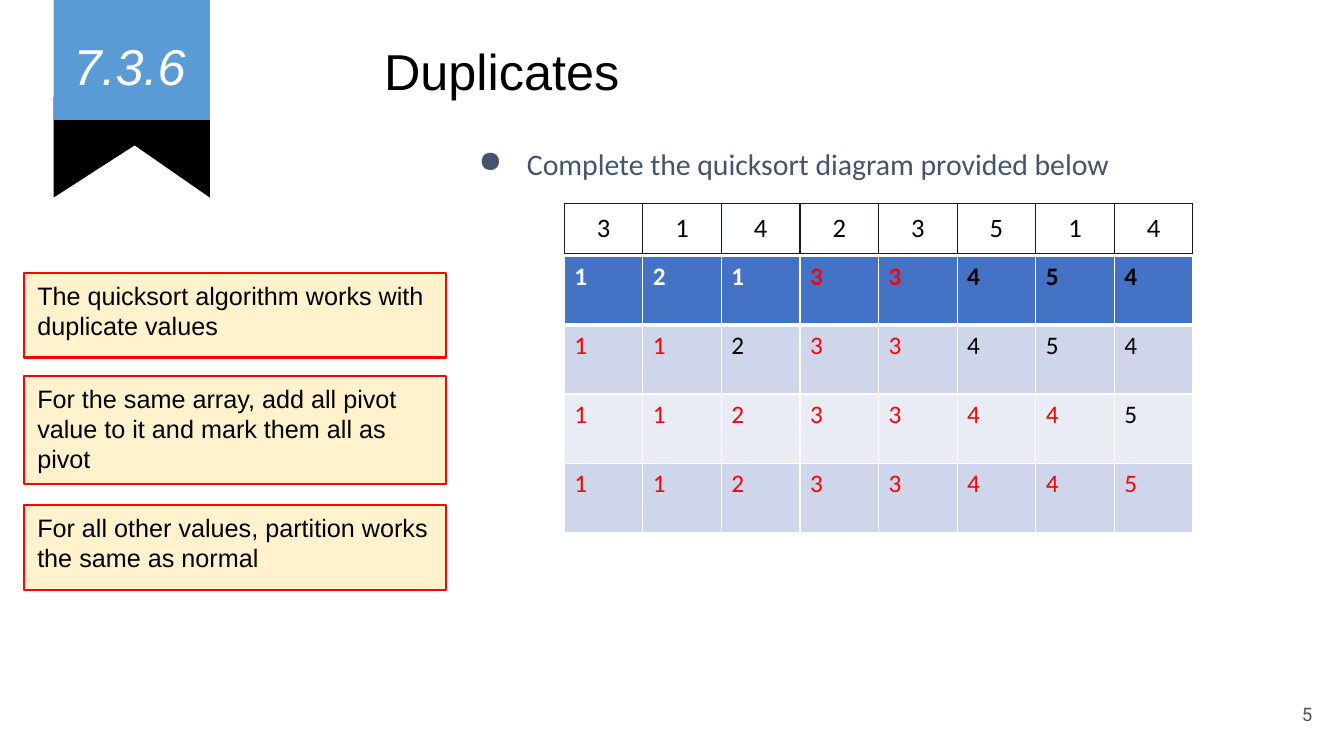
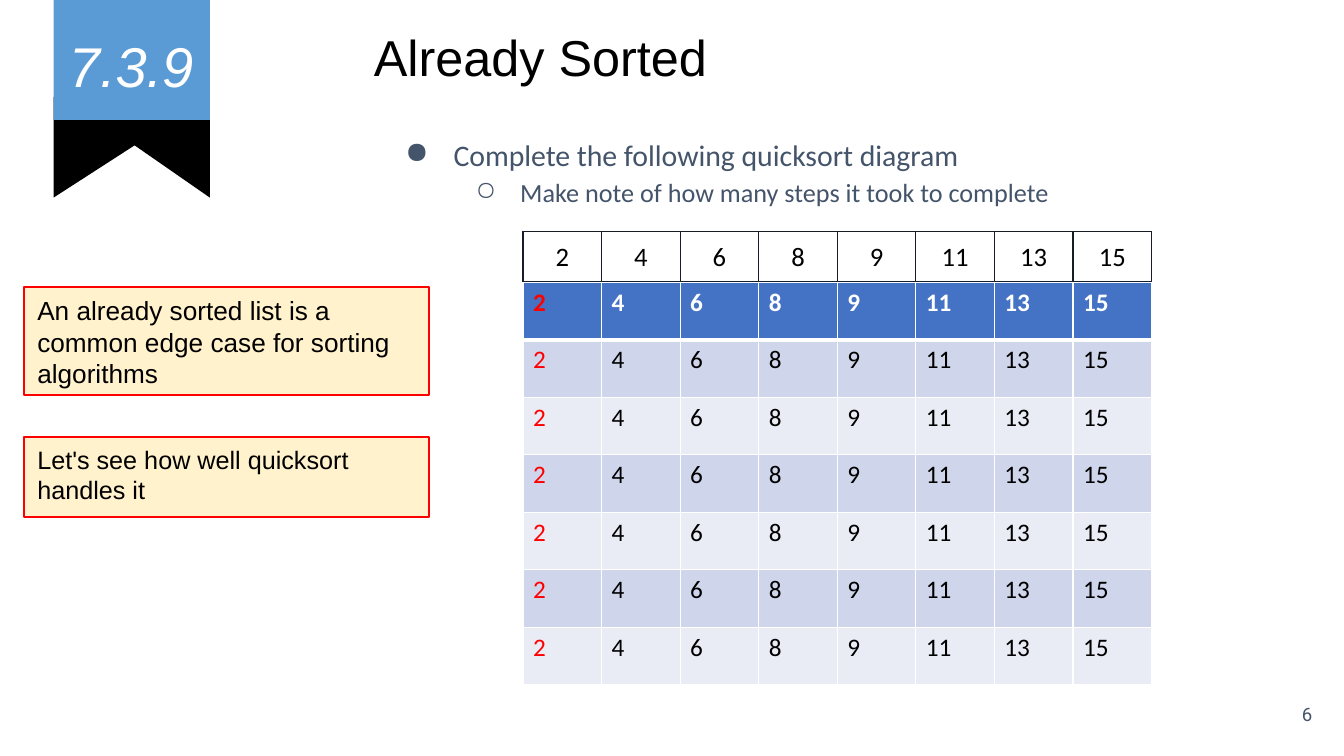
from lxml.etree import SubElement
from pptx import Presentation
from pptx.dml.color import RGBColor
from pptx.enum.shapes import MSO_SHAPE
from pptx.enum.text import MSO_ANCHOR, PP_ALIGN
from pptx.oxml.ns import qn
from pptx.util import Cm, Pt


def color(hex_string):
    return RGBColor.from_string(hex_string)


class Lesson:
    """Holds the lesson style and the slide being built."""

    BLACK, WHITE, RED = "000000", "FFFFFF", "FF0000"
    RIBBON, SLATE, CREAM = "5B9BD5", "44546A", "FFF2CC"
    GRID, HEADER, BANDS = "181C26", "4472C4", ("CFD5EA", "E9EBF5")
    INK = {"w": WHITE, "r": RED, "k": BLACK}
    HEAD_FONT, BODY_FONT, NUMBER_FONT = "Arial", "Calibri", "Roboto"
    COLUMN = 1.98
    # Marker, text size, left margin and hanging indent of each bullet level
    LEVELS = (("●", 21.3, 1.7, 1.22), ("○", 18.7, 3.38, 1.12))

    def __init__(self):
        self.deck = Presentation()
        self.deck.slide_width, self.deck.slide_height = Cm(33.87), Cm(19.05)
        self.slide = None

    def start(self):
        self.slide = self.deck.slides.add_slide(self.deck.slide_layouts[6])
        self.ribbon()

    # Text helpers
    def style(self, para, font, size, ink, align=PP_ALIGN.LEFT, bold=False, italic=False):
        para.alignment = align
        for span in para.runs:
            span.font.name, span.font.size = font, Pt(size)
            span.font.bold, span.font.italic = bold, italic
            span.font.color.rgb = color(ink)

    def margins(self, target, across, down):
        target.margin_left = target.margin_right = Cm(across)
        target.margin_top = target.margin_bottom = Cm(down)

    def text_box(self, text, left, top, width, height, anchor=MSO_ANCHOR.TOP):
        box = self.slide.shapes.add_textbox(Cm(left), Cm(top), Cm(width), Cm(height))
        frame = box.text_frame
        frame.word_wrap, frame.vertical_anchor = True, anchor
        self.margins(frame, 0.33, 0.33)
        frame.text = text
        return frame.paragraphs

    # Shapes
    def shape(self, kind, left, top, width, height, fill, line=None):
        shape = self.slide.shapes.add_shape(kind, Cm(left), Cm(top), Cm(width), Cm(height))
        shape.shadow.inherit = False
        shape.fill.solid()
        shape.fill.fore_color.rgb = color(fill)
        if line:
            shape.line.color.rgb = color(line)
            shape.line.width = Pt(1.5)
        else:
            shape.line.fill.background()
        return shape

    def ribbon(self):
        for left, width, flipped in ((1.35, 3.94, True), (1.63, 3.66, False)):
            tail = self.shape(MSO_SHAPE.RIGHT_TRIANGLE, left, 2.44, width, 2.54, self.BLACK)
            tail.rotation = 180
            if flipped:
                tail.element.spPr.find(qn("a:xfrm")).set("flipH", "1")
        self.shape(MSO_SHAPE.RECTANGLE, 1.35, 0, 3.94, 3.02, self.RIBBON)

    def title(self, text, left, top):
        para = self.text_box(text, left, top, 24.03, 3.15)[0]
        self.style(para, self.HEAD_FONT, 36, self.BLACK)

    def page_number(self, number):
        para = self.text_box(number, 31.37, 17.27, 2.03, 1.45, MSO_ANCHOR.MIDDLE)[0]
        self.style(para, self.NUMBER_FONT, 13.3, self.SLATE, PP_ALIGN.RIGHT)

    def section(self, text, left, width, size):
        para = self.text_box(text, left, 0.64, width, 2.01, MSO_ANCHOR.MIDDLE)[0]
        self.style(para, self.HEAD_FONT, size, self.WHITE, PP_ALIGN.CENTER, italic=True)

    def bullets(self, lines, left, top, height):
        paragraphs = self.text_box("\n".join(lines), left, top, 24.03, height)
        for level, para in enumerate(paragraphs):
            marker, size, margin, hanging = self.LEVELS[level]
            self.style(para, self.BODY_FONT, size, self.SLATE)
            para.level, para.line_spacing = level, 1.15
            properties = para._p.get_or_add_pPr()
            properties.set("marL", str(Cm(margin)))
            properties.set("indent", str(-Cm(hanging)))
            tint = SubElement(properties, qn("a:buClr"))
            SubElement(tint, qn("a:srgbClr")).set("val", self.SLATE)
            SubElement(properties, qn("a:buChar")).set("char", marker)

    def callout(self, text, top, width, height, size=18):
        box = self.shape(MSO_SHAPE.RECTANGLE, 0.61, top, width, height, self.CREAM, self.RED)
        frame = box.text_frame
        frame.word_wrap, frame.vertical_anchor = True, MSO_ANCHOR.TOP
        self.margins(frame, 0.33, 0.18)
        frame.text = text
        self.style(frame.paragraphs[0], self.HEAD_FONT, size, self.BLACK)

    # Tables
    def borders(self, cell, ink, bottom):
        properties = cell._tc.get_or_add_tcPr()
        for side, width in (("L", 1), ("R", 1), ("T", 1), ("B", bottom)):
            line = SubElement(properties, qn("a:ln" + side))
            line.set("w", str(Pt(width)))
            fill = SubElement(line, qn("a:solidFill"))
            SubElement(fill, qn("a:srgbClr")).set("val", ink)

    def grid(self, rows, left, top, row_height):
        """Add an empty-styled table and yield each row number, column and cell."""
        count = len(rows[0])
        table = self.slide.shapes.add_table(
            len(rows), count, Cm(left), Cm(top),
            Cm(self.COLUMN * count), Cm(row_height * len(rows))).table
        for column in table.columns:
            column.width = Cm(self.COLUMN)
        for r, values in enumerate(rows):
            table.rows[r].height = Cm(row_height)
            for c, value in enumerate(values):
                cell = table.cell(r, c)
                cell.text = value
                yield r, c, cell

    def array(self, values, left, top):
        for _, _, cell in self.grid([values.split()], left, top, 1.24):
            self.margins(cell, 0.46, 0.23)
            self.borders(cell, self.GRID, 1)
            cell.fill.background()
            self.style(cell.text_frame.paragraphs[0], self.BODY_FONT, 19, self.BLACK,
                       PP_ALIGN.CENTER)

    def steps(self, rows, left, top, row_height):
        """Each row pairs its values with one ink letter per value."""
        values = [numbers.split() for numbers, _ in rows]
        for r, c, cell in self.grid(values, left, top, row_height):
            header = r == 0
            self.borders(cell, self.WHITE, 3 if header else 1)
            cell.fill.solid()
            cell.fill.fore_color.rgb = color(self.HEADER if header else self.BANDS[(r - 1) % 2])
            self.style(cell.text_frame.paragraphs[0], self.BODY_FONT, 18,
                       self.INK[rows[r][1][c]], bold=header)


def duplicates(lesson):
    lesson.start()
    lesson.title("Duplicates", 9.35, 0.69)
    lesson.bullets(["Complete the quicksort diagram provided below"], 11.25, 3.2, 1.88)
    lesson.page_number("5")
    lesson.section("7.3.6", 1.3, 3.94, 36)
    lesson.array("3 1 4 2 3 5 1 4", 14.22, 5.13)
    for text, top, height in (
        ("The quicksort algorithm works with duplicate values", 6.88, 2.13),
        ("For the same array, add all pivot value to it and mark them all as pivot", 9.47, 2.72),
        ("For all other values, partition works the same as normal", 12.73, 2.13),
    ):
        lesson.callout(text, top, 10.64, height)
    lesson.steps([
        ("1 2 1 3 3 4 5 4", "wwwrrkkk"),
        ("1 1 2 3 3 4 5 4", "rrkrrkkk"),
        ("1 1 2 3 3 4 4 5", "rrrrrrrk"),
        ("1 1 2 3 3 4 4 5", "rrrrrrrr"),
    ], 14.22, 6.45, 1.74)


def already_sorted(lesson):
    numbers = "2 4 6 8 9 11 13 15"
    lesson.start()
    lesson.title("Already Sorted", 9.09, 0.33)
    lesson.bullets(["Complete the following quicksort diagram",
                    "Make note of how many steps it took to complete"], 9.4, 2.97, 2.51)
    lesson.page_number("6")
    lesson.section("7.3.9", 1.07, 4.47, 40)
    lesson.array(numbers, 13.18, 5.84)
    lesson.callout("An already sorted list is a common edge case for sorting algorithms",
                   7.24, 10.21, 2.72, 18.7)
    lesson.callout("Let's see how well quicksort handles it", 11.02, 10.21, 2.01)
    lesson.steps([(numbers, "rwwwwwww")] + [(numbers, "rkkkkkkk")] * 6, 13.18, 7.11, 1.45)


def main():
    lesson = Lesson()
    duplicates(lesson)
    already_sorted(lesson)
    lesson.deck.save("out.pptx")


if __name__ == "__main__":
    main()
